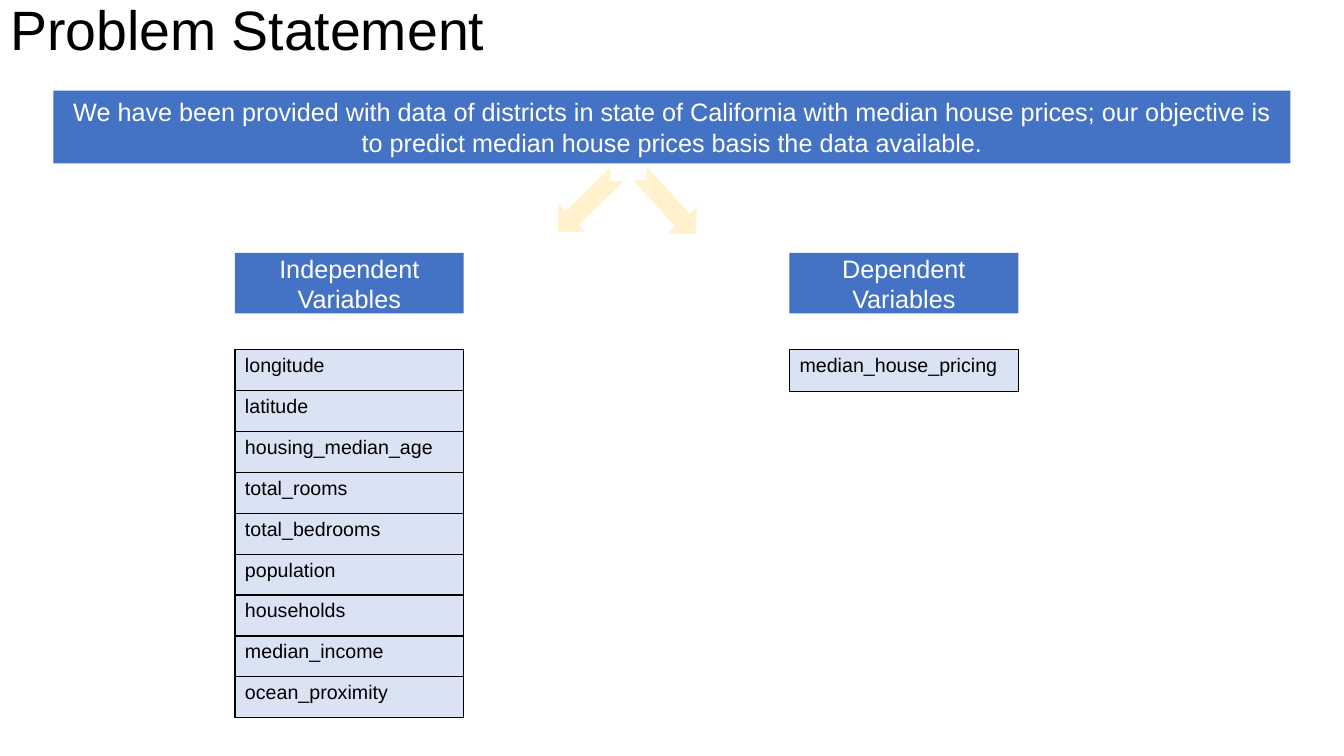
from dataclasses import dataclass
from typing import Any

from lxml import etree
from pptx import Presentation
from pptx.dml.color import RGBColor
from pptx.enum.shapes import MSO_SHAPE
from pptx.enum.text import MSO_ANCHOR, MSO_AUTO_SIZE, PP_ALIGN
from pptx.oxml.ns import qn
from pptx.util import Pt

RECTANGLE = MSO_SHAPE.RECTANGLE
NOTCHED_ARROW = MSO_SHAPE.NOTCHED_RIGHT_ARROW
MIDDLE = MSO_ANCHOR.MIDDLE
LEFT, CENTER = PP_ALIGN.LEFT, PP_ALIGN.CENTER
NO_AUTOFIT = MSO_AUTO_SIZE.NONE

EMU_PER_PX = 9144
TITLE_ONLY_LAYOUT = 5
COLORS = {
    "black": "000000",
    "white": "FFFFFF",
    "banner": "4472C4",
    "arrow": "FFF2CC",
    "cell": "DAE3F3",
}
FRAME_FORMAT = {"word_wrap": True, "auto_size": NO_AUTOFIT, "vertical_anchor": MIDDLE}
TABLE_FORMAT = {"first_row": False, "horz_banding": False}


@dataclass(frozen=True)
class Box:
    """A rectangle on the slide in px."""

    left: int
    top: int
    width: int
    height: int

    def emu(self) -> tuple[int, ...]:
        """Return the four lengths in EMU."""
        return tuple(px * EMU_PER_PX for px in (self.left, self.top, self.width, self.height))


@dataclass(frozen=True)
class Banner:
    """A filled rectangle with centred text."""

    box: Box
    text: str


@dataclass(frozen=True)
class Arrow:
    """A turned notched arrow."""

    box: Box
    rotation: float


@dataclass(frozen=True)
class VariableTable:
    """A one-column table of variable names."""

    box: Box
    names: tuple[str, ...]


TITLE_BOX = Box(0, 2, 1150, 60)
BANNERS = (
    Banner(
        Box(53, 90, 1227, 72),
        "We have been provided with data of districts in state of California with median house "
        "prices; our objective is to predict median house prices basis the data available.",
    ),
    Banner(Box(233, 251, 227, 60), "Independent Variables"),
    Banner(Box(783, 251, 227, 60), "Dependent Variables"),
)
ARROWS = (
    Arrow(Box(543, 184, 79, 35), 136.1),
    Arrow(Box(623, 185, 79, 35), 47.4),
)
TABLES = (
    VariableTable(
        Box(233, 347, 227, 365),
        (
            "longitude",
            "latitude",
            "housing_median_age",
            "total_rooms",
            "total_bedrooms",
            "population",
            "households",
            "median_income",
            "ocean_proximity",
        ),
    ),
    VariableTable(Box(783, 347, 227, 41), ("median_house_pricing",)),
)


def apply_format(target: Any, values: dict[str, Any]) -> None:
    """Set each named attribute on the target."""
    for name, value in values.items():
        setattr(target, name, value)


def paint(fill: Any, color: str) -> None:
    """Give a fill one solid colour."""
    fill.solid()
    fill.fore_color.rgb = RGBColor.from_string(COLORS[color])


def write(frame: Any, text: str, size: float, color: str, **paragraph_format: Any) -> None:
    """Write one formatted paragraph into a text frame."""
    frame.text = text
    paragraph = frame.paragraphs[0]
    apply_format(paragraph, paragraph_format)
    font = paragraph.runs[0].font
    apply_format(font, {"name": "Arial", "size": Pt(size), "bold": False})
    font.color.rgb = RGBColor.from_string(COLORS[color])


def draw_title(slide: Any) -> None:
    """Place and format the title placeholder."""
    title = slide.shapes.title
    apply_format(title, dict(zip(("left", "top", "width", "height"), TITLE_BOX.emu())))
    apply_format(title.text_frame, FRAME_FORMAT)
    write(title.text_frame, "Problem Statement", 39.6, "black", alignment=LEFT, line_spacing=0.9)


def draw_banner(slide: Any, banner: Banner) -> None:
    """Draw a filled rectangle with its text."""
    shape = slide.shapes.add_shape(RECTANGLE, *banner.box.emu())
    shape.shadow.inherit = False
    paint(shape.fill, "banner")
    shape.line.fill.background()
    apply_format(shape.text_frame, FRAME_FORMAT)
    write(shape.text_frame, banner.text, 18, "white", alignment=CENTER)


def draw_arrow(slide: Any, arrow: Arrow) -> None:
    """Draw a turned arrow."""
    shape = slide.shapes.add_shape(NOTCHED_ARROW, *arrow.box.emu())
    shape.shadow.inherit = False
    shape.rotation = arrow.rotation
    paint(shape.fill, "arrow")
    paint(shape.line.fill, "arrow")
    shape.line.width = Pt(1)


def add_borders(cell: Any) -> None:
    """Line all four sides of a cell in black."""
    properties = cell._tc.get_or_add_tcPr()
    for position, side in enumerate(("lnL", "lnR", "lnT", "lnB")):
        line = etree.Element(qn(f"a:{side}"), w=str(Pt(1)))
        fill = etree.SubElement(line, qn("a:solidFill"))
        etree.SubElement(fill, qn("a:srgbClr"), val=COLORS["black"])
        properties.insert(position, line)


def draw_table(slide: Any, variables: VariableTable) -> None:
    """Draw one row for each variable name."""
    frame = slide.shapes.add_table(len(variables.names), 1, *variables.box.emu())
    apply_format(frame.table, TABLE_FORMAT)
    for cell, name in zip(frame.table.iter_cells(), variables.names):
        write(cell.text_frame, name, 14, "black", alignment=LEFT)
        paint(cell.fill, "cell")
        add_borders(cell)


def main() -> None:
    """Build the slide and save it."""
    presentation = Presentation()
    apply_format(
        presentation,
        {"slide_width": 1333 * EMU_PER_PX, "slide_height": 750 * EMU_PER_PX},
    )
    slide = presentation.slides.add_slide(presentation.slide_layouts[TITLE_ONLY_LAYOUT])
    paint(slide.background.fill, "white")
    draw_title(slide)
    for draw, items in ((draw_banner, BANNERS), (draw_arrow, ARROWS), (draw_table, TABLES)):
        for item in items:
            draw(slide, item)
    presentation.save("out.pptx")


if __name__ == "__main__":
    main()
